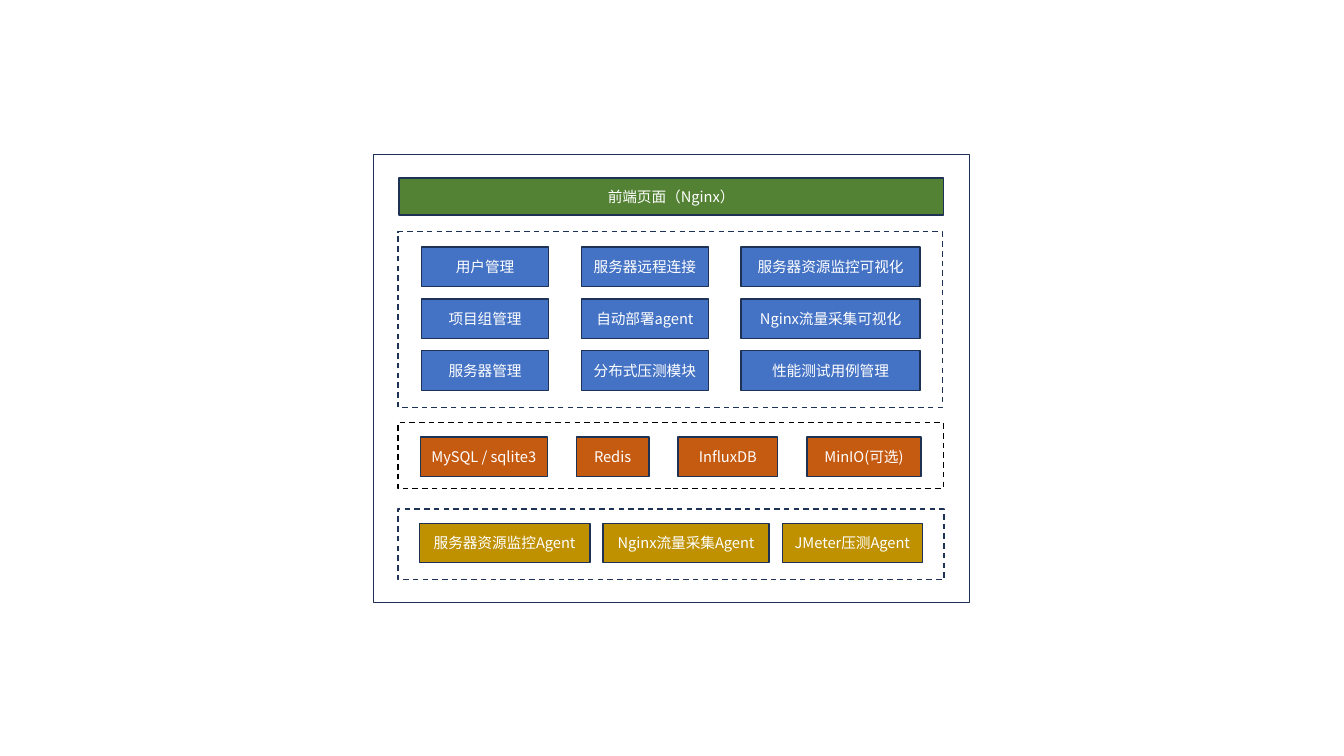
"""Draw the layered architecture of a load-testing platform on one slide."""
from pptx import Presentation
from pptx.dml.color import RGBColor
from pptx.enum.dml import MSO_LINE
from pptx.enum.shapes import MSO_SHAPE
from pptx.enum.text import MSO_ANCHOR, PP_ALIGN
from pptx.oxml.ns import qn
from pptx.util import Inches, Pt

THEME = {
    "font": "Noto Sans CJK SC", "size": 10.5, "line_width": 1,
    "text": "FFFFFF", "outline": "1E3256", "black": "000000", "white": "FFFFFF",
    "frontend": "548235", "module": "4472C4", "storage": "C55A11", "agent": "BF9000",
}
COLUMNS, ROWS = 160, 90
BOX_HEIGHT, ROW_PITCH = 4.7, 6.18

deck = Presentation()
deck.slide_width, deck.slide_height = Inches(13.333), Inches(7.5)
page = deck.slides.add_slide(deck.slide_layouts[6])
column, row = deck.slide_width / COLUMNS, deck.slide_height / ROWS


def add_box(left, top, width, height, fill=None, line="outline", dashed=False):
    box = page.shapes.add_shape(
        MSO_SHAPE.RECTANGLE, round(left * column), round(top * row),
        round(width * column), round(height * row))
    box.shadow.inherit = False
    if fill:
        box.fill.solid()
        box.fill.fore_color.rgb = RGBColor.from_string(THEME[fill])
    else:
        box.fill.background()
    box.line.color.rgb = RGBColor.from_string(THEME[line])
    box.line.width = Pt(THEME["line_width"])
    if dashed:
        box.line.dash_style = MSO_LINE.DASH
    return box


def write(text, box, size=THEME["size"], color=THEME["text"], align=PP_ALIGN.CENTER):
    frame = box.text_frame
    frame.word_wrap = True
    frame.vertical_anchor = MSO_ANCHOR.MIDDLE
    para = frame.paragraphs[0]
    para.alignment = align
    span = para.add_run()
    span.text = text
    span.font.size = Pt(size)
    span.font.color.rgb = RGBColor.from_string(color)
    span.font.name = THEME["font"]
    east_asian = span.font._element.makeelement(qn("a:ea"), {"typeface": THEME["font"]})
    span.font._element.append(east_asian)


add_box(44.5, 18.4, 70.9, 53.3)
write("前端页面（Nginx）", add_box(47.5, 21.2, 64.8, 4.4, fill="frontend"))

add_box(47.4, 27.6, 64.8, 20.9, dashed=True)
add_box(47.4, 50.3, 64.9, 7.9, fill="white", line="black", dashed=True)
add_box(47.4, 60.6, 65, 8.4, dashed=True)

tiers = [
    ("module", 50.2, 29.4, 3.9, [15.12, 15.12, 21.3], [
        ["用户管理", "服务器远程连接", "服务器资源监控可视化"],
        ["项目组管理", "自动部署agent", "Nginx流量采集可视化"],
        ["服务器管理", "分布式压测模块", "性能测试用例管理"]]),
    ("storage", 50.04, 52, 3.45, [15.12, 8.64, 11.9, 13.6], [
        ["MySQL / sqlite3", "Redis", "InfluxDB", "MinIO(可选)"]]),
    ("agent", 49.92, 62.3, 1.55, [20.3, 19.8, 16.7], [
        ["服务器资源监控Agent", "Nginx流量采集Agent", "JMeter压测Agent"]]),
]
for fill, start, top, gap, widths, labels in tiers:
    for index, names in enumerate(labels):
        left = start
        for name, width in zip(names, widths):
            write(name, add_box(left, top + index * ROW_PITCH, width, BOX_HEIGHT, fill=fill))
            left += width + gap

deck.save("out.pptx")
